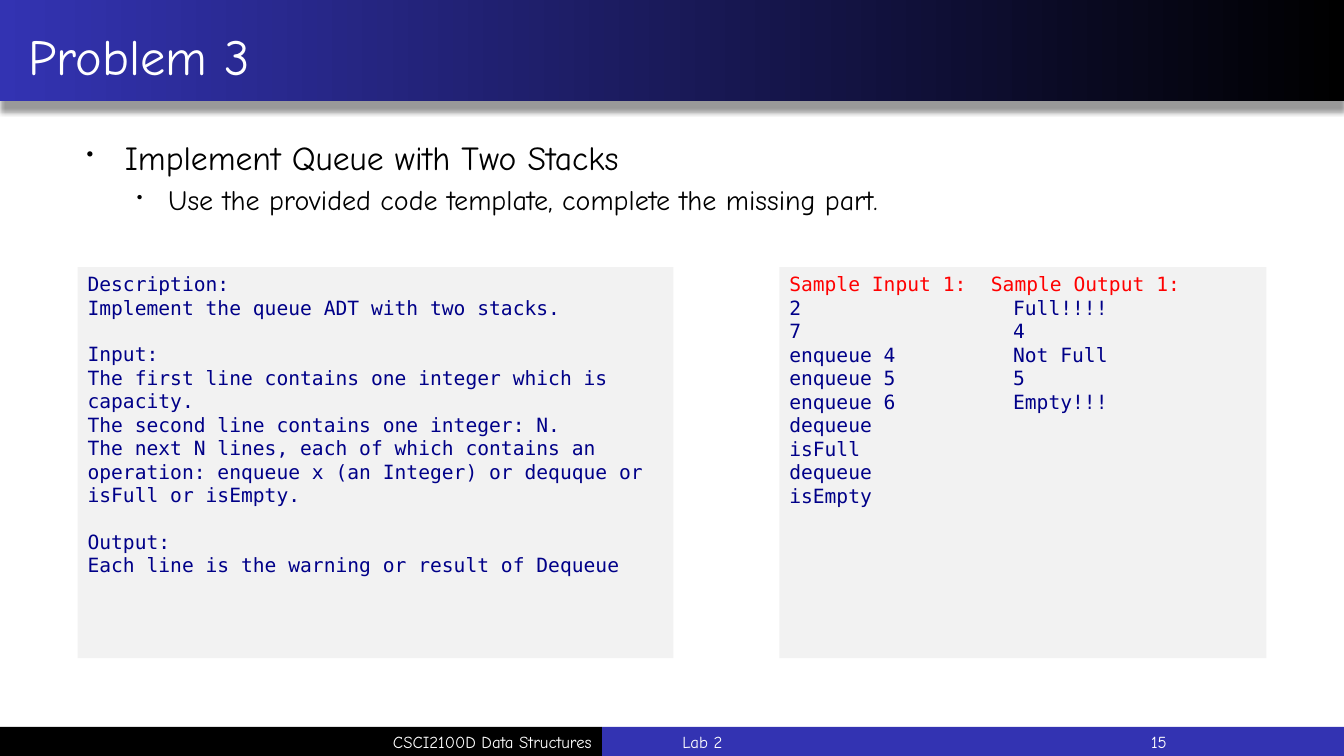
import pptx
import pptx.dml.color
import pptx.enum.shapes
import pptx.enum.text
import pptx.oxml
import pptx.oxml.ns
import pptx.util
from lxml import etree

Inches = pptx.util.Inches
Pt = pptx.util.Pt
RGBColor = pptx.dml.color.RGBColor
ALIGN = pptx.enum.text.PP_ALIGN
ANCHOR = pptx.enum.text.MSO_ANCHOR
qn = pptx.oxml.ns.qn

BLACK = RGBColor(0x00, 0x00, 0x00)
WHITE = RGBColor(0xFF, 0xFF, 0xFF)
BLUE = RGBColor(0x33, 0x33, 0xB2)
PANEL = RGBColor(0xF2, 0xF2, 0xF2)
NAVY = RGBColor(0x00, 0x00, 0x88)
RED = RGBColor(0xFF, 0x00, 0x00)

FONT = "Comic Neue"
MONO = "DejaVu Sans Mono"
LINE_HEIGHT = 16.3

DESCRIPTION = [
    ["Description:", "Implement the queue ADT with two stacks."],
    ["Input:", "The first line contains one integer which is capacity.",
     "The second line contains one integer: N.",
     "The next N lines, each of which contains an operation: "
     "enqueue x (an Integer) or dequque or isFull or isEmpty."],
    ["Output:", "Each line is the warning or result of Dequeue"],
]
SAMPLES = [
    "Sample Input 1:\tSample Output 1:", "2\tFull!!!!", "7\t4",
    "enqueue 4\tNot Full", "enqueue 5\t5", "enqueue 6\tEmpty!!!",
    "dequeue", "isFull", "dequeue", "isEmpty",
]


def add_rect(s, x, y, w, h, color):
    """Add a plain rectangle with no line or shadow."""
    sp = s.shapes.add_shape(pptx.enum.shapes.MSO_SHAPE.RECTANGLE,
                            Inches(x), Inches(y), Inches(w), Inches(h))
    sp.shadow.inherit = False
    sp.fill.solid()
    sp.fill.fore_color.rgb = color
    sp.line.fill.background()
    return sp


def style(p, size, color, font=FONT, align=ALIGN.LEFT):
    """Format a paragraph and its runs."""
    p.alignment = align
    for r in p.runs:
        r.font.size = Pt(size)
        r.font.name = font
        r.font.color.rgb = color


def add_text(s, x, y, w, h, text, size, align=ALIGN.LEFT):
    """Add one white, vertically centred line of text."""
    tf = s.shapes.add_textbox(Inches(x), Inches(y), Inches(w), Inches(h)).text_frame
    tf.word_wrap = True
    tf.vertical_anchor = ANCHOR.MIDDLE
    tf.text = text
    style(tf.paragraphs[0], size, WHITE, align=align)
    return tf


def add_header(s, x, y, w, h, title):
    """Add the gradient title band with its shadow."""
    sp = add_rect(s, x, y, w, h, BLUE)
    sp.fill.gradient()
    sp.fill.gradient_angle = 0
    for stop, color in zip(sp.fill.gradient_stops, (BLUE, BLACK)):
        stop.color.rgb = color
    effects = sp._element.spPr.find(qn("a:effectLst"))
    shadow = etree.SubElement(effects, qn("a:outerShdw"), blurRad=str(Pt(4)),
                              dist=str(Pt(7)), dir="5400000", rotWithShape="0")
    color = etree.SubElement(shadow, qn("a:srgbClr"), val=str(BLACK))
    etree.SubElement(color, qn("a:alpha"), val="40000")
    tf = add_text(s, x, y + 0.07, w, h - 0.03, title, 36)
    tf.margin_left = Inches(0.28)


def add_footer(s, x, y, w, h):
    """Add the two-colour footer with course, lab and page number."""
    split = 5.97
    add_rect(s, x + split, y, w - split, h, BLUE)
    add_rect(s, x, y, split, h, BLACK)
    add_text(s, x, y, split, h, "CSCI2100D Data Structures", 12, ALIGN.RIGHT)
    add_text(s, x + 6.67, y, 3.5, h, "Lab 2", 12)
    add_text(s, x + 10.42, y, 1.25, h, "15", 12, ALIGN.RIGHT)


def add_bullets(s, x, y, w, h):
    """Add the bulleted task statement."""
    tf = s.shapes.add_textbox(Inches(x), Inches(y), Inches(w), Inches(h)).text_frame
    tf.word_wrap = True
    items = [("Implement Queue with Two Stacks", 24, 0.38, 0.38),
             ("Use the provided code template, complete the missing part.", 20, 0.81, 0.31)]
    tf.text = "\n".join(item[0] for item in items)
    for level, (p, (_, size, left, hang)) in enumerate(zip(tf.paragraphs, items)):
        style(p, size, BLACK)
        p.level = level
        p.space_before = Pt(size * 0.2)
        pPr = p._p.get_or_add_pPr()
        pPr.set("marL", str(Inches(left)))
        pPr.set("indent", str(-Inches(hang)))
        etree.SubElement(pPr, qn("a:buSzPct"), val="60000")
        etree.SubElement(pPr, qn("a:buChar"), char="•")


def add_panel(s, x, y, w, h, lines):
    """Add a grey code panel and return its paragraphs."""
    sp = add_rect(s, x, y, w, h, PANEL)
    tf = sp.text_frame
    tf.word_wrap = True
    tf.vertical_anchor = ANCHOR.TOP
    tf.text = "\n".join(lines)
    for p in tf.paragraphs:
        style(p, 14, NAVY, MONO)
    return tf.paragraphs


def add_description(s, x, y, w, h):
    """Add the problem description with a gap before each later section."""
    paragraphs = add_panel(s, x, y, w, h, sum(DESCRIPTION, []))
    start = 0
    for section in DESCRIPTION[:-1]:
        start += len(section)
        paragraphs[start].space_before = Pt(LINE_HEIGHT)


def add_samples(s, x, y, w, h):
    """Add the sample input and output in two tabbed columns."""
    paragraphs = add_panel(s, x, y, w, h, SAMPLES)
    style(paragraphs[0], 14, RED, MONO)
    for i, p in enumerate(paragraphs):
        tabs = etree.SubElement(p._p.get_or_add_pPr(), qn("a:tabLst"))
        etree.SubElement(tabs, qn("a:tab"), pos=str(Inches(2.22 if i else 2)), algn="l")


def main():
    """Build the slide and save it."""
    prs = pptx.Presentation()
    prs.slide_width, prs.slide_height = Inches(13.33), Inches(7.5)
    s = prs.slides.add_slide(prs.slide_layouts[6])
    add_header(s, 0, -0.01, 13.33, 1.01, "Problem 3")
    add_footer(s, 0, 7.21, 13.33, 0.29)
    add_bullets(s, 0.76, 1.31, 11.81, 1.2)
    add_description(s, 0.77, 2.65, 5.91, 3.88)
    add_samples(s, 7.73, 2.65, 4.83, 3.88)
    prs.save("out.pptx")


if __name__ == "__main__":
    main()
